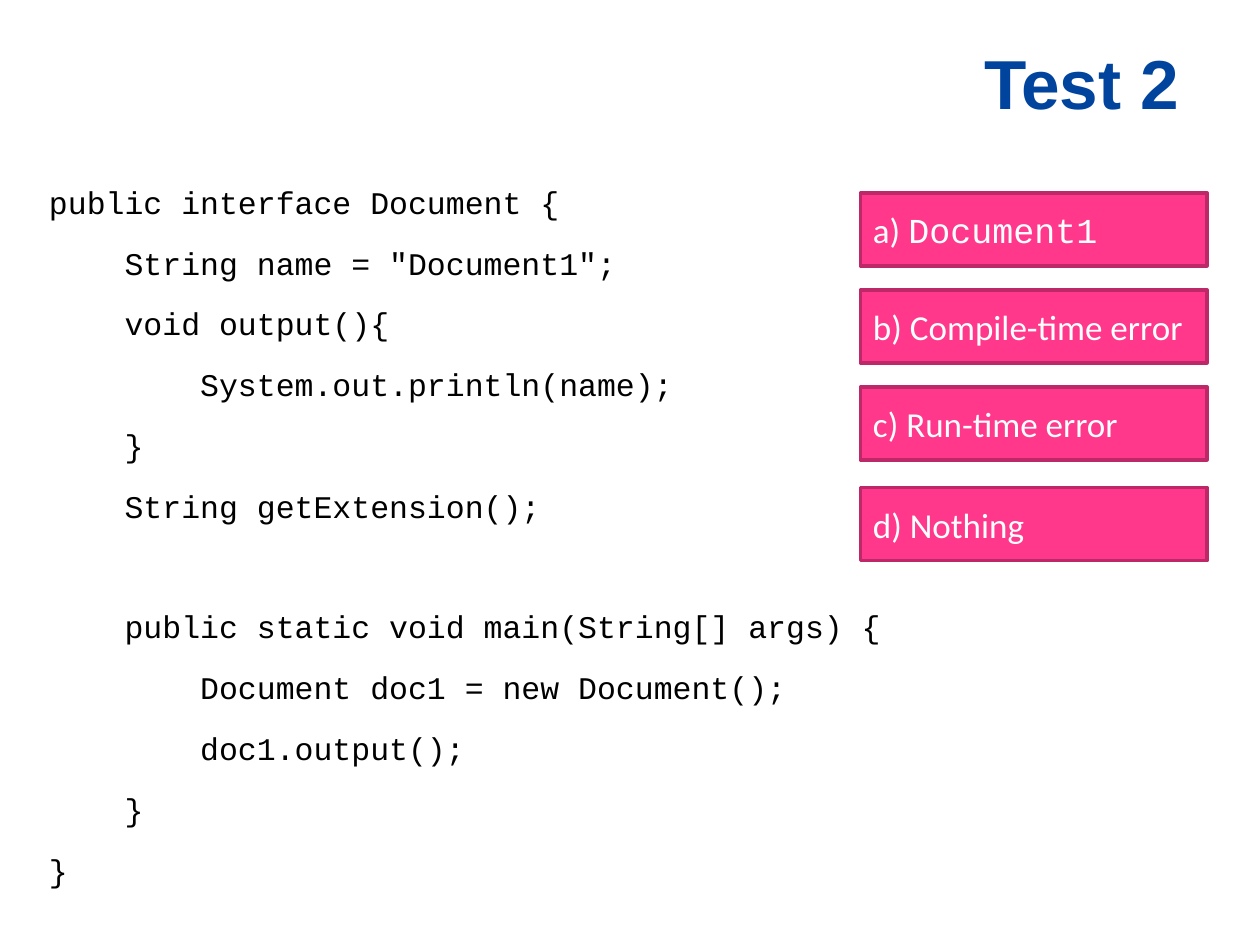
from pptx import Presentation
from pptx.dml.color import RGBColor
from pptx.enum.shapes import MSO_SHAPE
from pptx.enum.text import MSO_ANCHOR, MSO_AUTO_SIZE, PP_ALIGN
from pptx.util import Inches, Pt

RECTANGLE = MSO_SHAPE.RECTANGLE
MIDDLE = MSO_ANCHOR.MIDDLE
TOP = MSO_ANCHOR.TOP
NO_AUTOFIT = MSO_AUTO_SIZE.NONE
CENTER = PP_ALIGN.CENTER
LEFT = PP_ALIGN.LEFT

BLUE = RGBColor(0x00, 0x44, 0x9E)
PINK = RGBColor(0xFF, 0x38, 0x8C)
DARK_PINK = RGBColor(0xBD, 0x29, 0x68)
WHITE = RGBColor(0xFF, 0xFF, 0xFF)
BLACK = RGBColor(0x00, 0x00, 0x00)

CODE_FONT = "Courier New"
INDENT = 0.6
LINE_GAP = 13.2
SECTION_GAP = 46.8

CODE_LINES = [
    (0, "public interface Document {", LINE_GAP),
    (1, 'String name = "Document1";', LINE_GAP),
    (1, "void output(){", LINE_GAP),
    (2, "System.out.println(name);", LINE_GAP),
    (1, "}", LINE_GAP),
    (1, "String getExtension();", LINE_GAP),
    (1, "public static void main(String[] args) {", SECTION_GAP),
    (2, "Document doc1 = new Document();", LINE_GAP),
    (2, "doc1.output();", LINE_GAP),
    (1, "}", LINE_GAP),
    (0, "}", LINE_GAP),
]

ANSWERS = [
    (1.53, [("a) ", "Calibri"), ("Document1", CODE_FONT)]),
    (2.3, [("b) Compile-time error", "Calibri")]),
    (3.07, [("c) Run-time error", "Calibri")]),
    (3.87, [("d) Nothing", "Calibri")]),
]


class QuizSlide:
    title_format = {"name": "Arial", "size": Pt(39.6), "bold": True}
    code_format = {"name": CODE_FONT, "size": Pt(18)}
    answer_format = {"size": Pt(20)}

    def __init__(self, presentation):
        self.slide = presentation.slides.add_slide(presentation.slide_layouts[5])

    def apply(self, target, values):
        for name, value in values.items():
            setattr(target, name, value)

    def add_run(self, paragraph, text, font_format, color):
        run = paragraph.add_run()
        run.text = text
        self.apply(run.font, font_format)
        run.font.color.rgb = color

    def add_title(self, text, left, top, width, height):
        title = self.slide.shapes.title
        self.apply(title, {
            "left": Inches(left), "top": Inches(top),
            "width": Inches(width), "height": Inches(height),
        })
        self.apply(title.text_frame, {
            "vertical_anchor": MIDDLE, "auto_size": NO_AUTOFIT,
        })
        paragraph = title.text_frame.paragraphs[0]
        paragraph.alignment = CENTER
        self.add_run(paragraph, text, self.title_format, BLUE)

    def add_answer(self, runs, left, top, width, height):
        shape = self.slide.shapes.add_shape(
            RECTANGLE, Inches(left), Inches(top), Inches(width), Inches(height))
        shape.shadow.inherit = False
        shape.fill.solid()
        shape.fill.fore_color.rgb = PINK
        shape.line.color.rgb = DARK_PINK
        shape.line.width = Pt(2)
        shape.text_frame.vertical_anchor = MIDDLE
        paragraph = shape.text_frame.paragraphs[0]
        paragraph.alignment = LEFT
        for text, font in runs:
            self.add_run(paragraph, text, {**self.answer_format, "name": font}, WHITE)

    def add_code(self, lines, left, top, width, height):
        shape = self.slide.shapes.add_textbox(
            Inches(left), Inches(top), Inches(width), Inches(height))
        frame = shape.text_frame
        self.apply(frame, {"word_wrap": True, "vertical_anchor": TOP})
        for index, (level, text, gap) in enumerate(lines):
            paragraph = frame.add_paragraph() if index else frame.paragraphs[0]
            if index:
                paragraph.space_before = Pt(gap)
            properties = paragraph._p.get_or_add_pPr()
            properties.set("marL", str(Inches(level * INDENT)))
            properties.set("indent", "0")
            self.add_run(paragraph, text, self.code_format, BLACK)


def main():
    presentation = Presentation()
    presentation.slide_width = Inches(10)
    presentation.slide_height = Inches(7.5)
    quiz = QuizSlide(presentation)
    for top, runs in ANSWERS:
        quiz.add_answer(runs, 6.83, top, 2.75, 0.58)
    quiz.add_title("Test 2", 7.67, 0.3, 1.83, 0.7)
    quiz.add_code(CODE_LINES, 0.29, 1.4, 7.21, 5.59)
    presentation.save("out.pptx")


if __name__ == "__main__":
    main()
